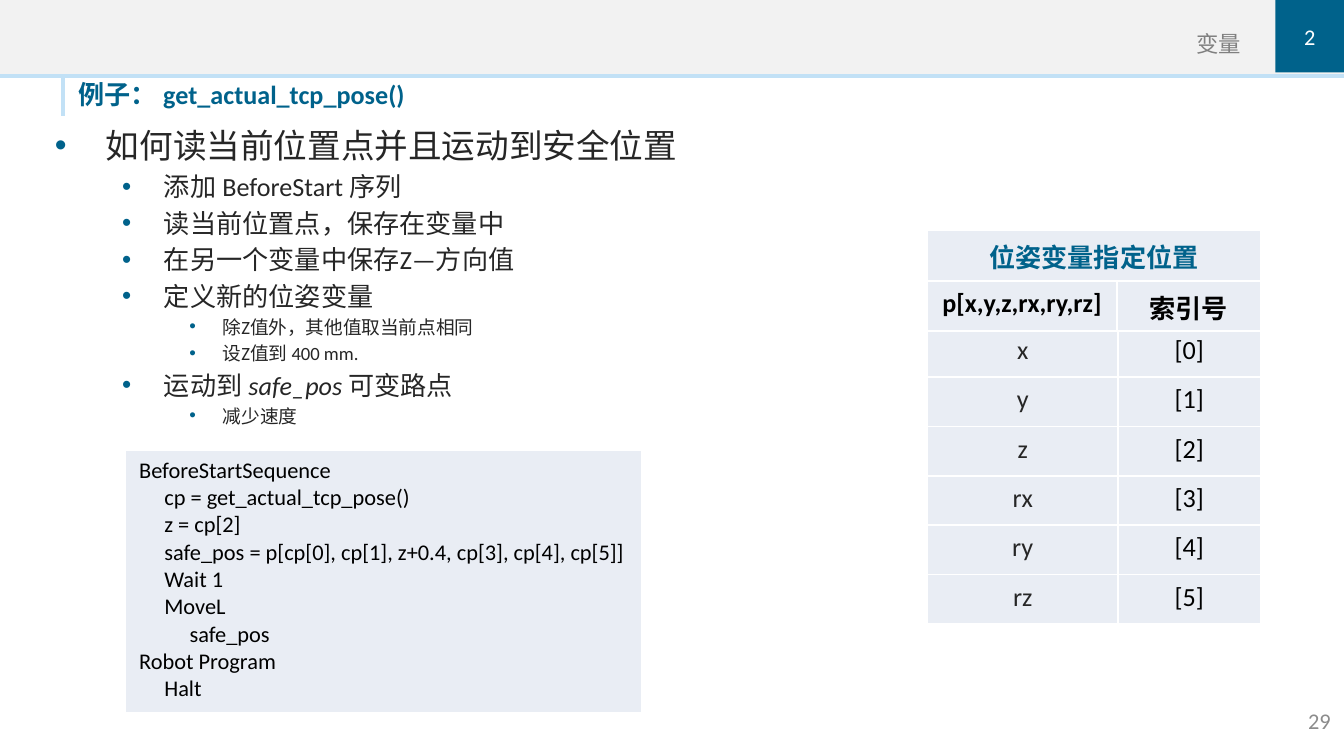
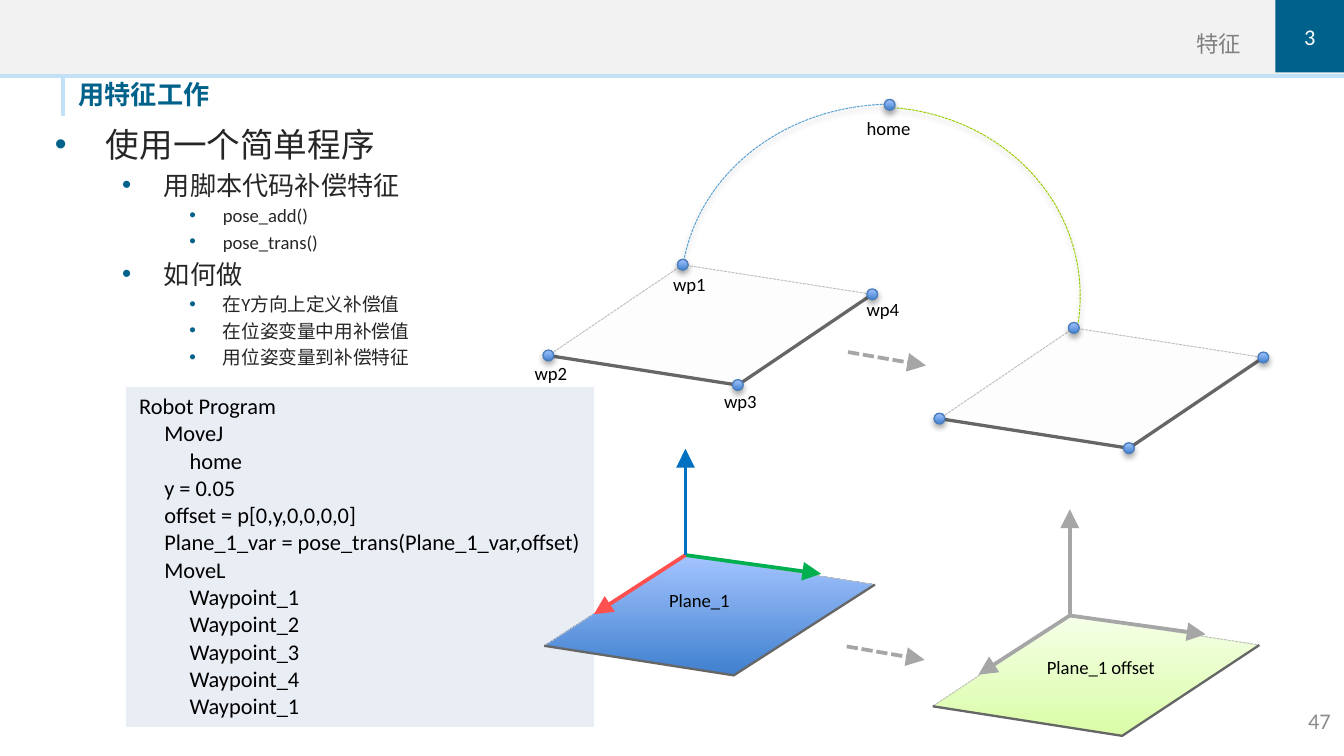
from dataclasses import dataclass
from typing import NamedTuple

from lxml import etree
from pptx import Presentation
from pptx.dml.color import RGBColor
from pptx.enum.dml import MSO_LINE
from pptx.enum.shapes import MSO_CONNECTOR, MSO_SHAPE
from pptx.enum.text import MSO_ANCHOR, PP_ALIGN
from pptx.oxml.ns import qn
from pptx.util import Emu, Inches, Pt

RECT, OVAL, ARC = MSO_SHAPE.RECTANGLE, MSO_SHAPE.OVAL, MSO_SHAPE.ARC
STRAIGHT, DASH = MSO_CONNECTOR.STRAIGHT, MSO_LINE.SQUARE_DOT
LEFT, MID, RIGHT = PP_ALIGN.LEFT, PP_ALIGN.CENTER, PP_ALIGN.RIGHT
TOP, CENTER, BASE = MSO_ANCHOR.TOP, MSO_ANCHOR.MIDDLE, MSO_ANCHOR.BOTTOM

# The slide is a grid of 100 columns and 56.25 rows; all lengths count its cells.
CELL = Inches(0.1)
COLS, ROWS = 100, 56.25

HUES = {
    "sky": "C2E1F6", "band": "F2F2F2", "teal": "00628B", "page": "8C8C8C",
    "head": "808080", "body": "262626", "black": "000000", "white": "FFFFFF",
    "cell": "E9EDF4", "gray": "A6A6A6", "edge": "666666", "rim": "BFBFBF",
    "paper": "FDFDFD", "navy": "4B7EBC", "deep": "3F80CE", "pale": "A4C4FF",
    "lime": "DAFDA7", "mint": "F5FFE7", "arc": "56A0D3", "leaf": "99CC00",
    "green": "00B050", "red": "FF5050", "blue": "0070C0",
}


class Spot(NamedTuple):
    x: float
    y: float

    def move(self, dx: float, dy: float) -> "Spot":
        return Spot(self.x + dx, self.y + dy)


class Area(NamedTuple):
    x: float
    y: float
    w: float
    h: float


@dataclass(frozen=True)
class Style:
    size: int
    hue: str = "black"
    bold: bool = False
    align: PP_ALIGN = LEFT
    font: str = "Calibri"


class Level(NamedTuple):
    size: int
    left: float
    hang: float


class Item(NamedTuple):
    """A bullet; text between bars is italic."""
    level: int
    text: str


class Plane(NamedTuple):
    start: Spot
    fills: tuple
    edge: float
    lean: float

    def nooks(self) -> list:
        """Give the corners, clockwise from the start."""
        side, down = (14.1, 2.2), (-self.lean, 6.75)
        far = self.start.move(*side)
        return [self.start, far, far.move(*down), self.start.move(*down)]


class Bow(NamedTuple):
    area: Area
    turn: float
    ends: tuple
    hue: str
    flip: bool


class Tag(NamedTuple):
    x: float
    y: float
    text: str
    w: float = 6


LEVELS = [Level(18, 3.8, 3.8), Level(14, 8.12, 3.12), Level(10, 12.5, 2.5)]
TITLE = Style(14, "teal", True)
CODE, LABEL = Style(12), Style(10)

READ = [
    Item(0, "如何读当前位置点并且运动到安全位置"),
    Item(1, "添加 BeforeStart 序列"),
    Item(1, "读当前位置点，保存在变量中"),
    Item(1, "在另一个变量中保存Z—方向值"),
    Item(1, "定义新的位姿变量"),
    Item(2, "除Z值外，其他值取当前点相同"),
    Item(2, "设Z值到 400 mm."),
    Item(1, "运动到 |safe_pos |可变路点"),
    Item(2, "减少速度"),
]
WORK = [
    Item(0, "使用一个简单程序"),
    Item(1, "用脚本代码补偿特征"),
    Item(2, "pose_add()"),
    Item(2, "pose_trans()"),
    Item(1, "如何做"),
    Item(2, "在Y方向上定义补偿值"),
    Item(2, "在位姿变量中用补偿值"),
    Item(2, "用位姿变量到补偿特征"),
]
SAFE = """BeforeStartSequence
     cp = get_actual_tcp_pose()
     z = cp[2]
     safe_pos = p[cp[0], cp[1], z+0.4, cp[3], cp[4], cp[5]]
     Wait 1
     MoveL
          safe_pos
Robot Program
     Halt"""
SHIFT = """Robot Program
     MoveJ
          home
     y = 0.05
     offset = p[0,y,0,0,0,0]
     Plane_1_var = pose_trans(Plane_1_var,offset)
     MoveL
          Waypoint_1
          Waypoint_2
          Waypoint_3
          Waypoint_4
          Waypoint_1"""

PLANES = [
    Plane(Spot(51, 41.3), ("deep", "pale"), 1.25, 10.5),
    Plane(Spot(79.6, 45.8), ("lime", "mint"), 1.25, 10.2),
    Plane(Spot(50.8, 19.7), ("paper",), 1.75, 10),
    Plane(Spot(79.9, 24.4), ("paper",), 1.75, 10),
]
AXES = [(10.1, 1.4), (-6.8, 4.4), (0, -7.9)]
BOWS = [
    Bow(Area(52.4, 6, 29.2, 32.8), 279.4, (162, 207.6), "arc", False),
    Bow(Area(50.4, 6.8, 28.8, 31.2), 80.6, (152.8, 207.6), "leaf", True),
]
HOME = Spot(66.2, 7.8)
TAGS = [
    Tag(38.8, 26.4, "wp2"), Tag(49.1, 19.8, "wp1"), Tag(52.9, 28.5, "wp3"),
    Tag(63.5, 21.7, "wp4"), Tag(63.5, 8.2, "home"),
    Tag(48.8, 43.3, "Plane_1", 9.7), Tag(76.9, 48.3, "Plane_1 offset", 13.5),
]


def span(cells: float) -> Emu:
    return Emu(round(cells * CELL))


def spans(values) -> list:
    return [span(v) for v in values]


def tint(hue: str) -> RGBColor:
    return RGBColor.from_string(HUES[hue])


def sub(node, tag: str, **attrs):
    return etree.SubElement(node, qn(tag), attrs)


def paint(shape, hues: tuple) -> None:
    """Fill with no, one or two hues, the first of two at the bottom."""
    fill = shape.fill
    if not hues:
        fill.background()
    elif len(hues) == 1:
        fill.solid()
        fill.fore_color.rgb = tint(hues[0])
    else:
        fill.gradient()
        fill.gradient_angle = 90
        for stop, hue in zip(fill.gradient_stops, hues):
            stop.color.rgb = tint(hue)


def stroke(shape, hue: str, width: float, dash: bool = False) -> None:
    shape.line.color.rgb = tint(hue)
    shape.line.width = Pt(width)
    if dash:
        shape.line.dash_style = DASH


def shade(shape) -> None:
    """Add a soft shadow below."""
    glow = sub(shape._element.spPr.find(qn("a:effectLst")), "a:outerShdw",
               blurRad=str(Pt(3.1)), dist=str(Pt(1.8)), dir="5400000", rotWithShape="0")
    sub(sub(glow, "a:srgbClr", val=HUES["black"]), "a:alpha", val="35000")


def form(slide, kind, area: Area, hues: tuple):
    shape = slide.shapes.add_shape(kind, *spans(area))
    shape.shadow.inherit = False
    paint(shape, hues)
    shape.line.fill.background()
    return shape


def style(frame, look: Style) -> None:
    for para in frame.paragraphs:
        para.alignment = look.align
        for run in para.runs:
            run.font.name, run.font.size = look.font, Pt(look.size)
            run.font.bold = look.bold
            run.font.color.rgb = tint(look.hue)


def write(shape, text: str, look: Style, anchor=TOP, inset=(1, 0.5, 1, 0.5)) -> None:
    frame = shape.text_frame
    frame.word_wrap, frame.vertical_anchor = True, anchor
    (frame.margin_left, frame.margin_top,
     frame.margin_right, frame.margin_bottom) = spans(inset)
    frame.text = text
    style(frame, look)


def note(slide, area: Area, text: str, look: Style, **more) -> None:
    write(slide.shapes.add_textbox(*spans(area)), text, look, **more)


def line(slide, start: Spot, end: Spot, hue: str, width: float = 2,
         dash: bool = False, head: bool = True) -> None:
    link = slide.shapes.add_connector(STRAIGHT, *spans(start + end))
    stroke(link, hue, width, dash)
    if head:
        sub(link.line._get_or_add_ln(), "a:tailEnd", type="triangle", w="lg", len="lg")
    sub(link._element.spPr, "a:effectLst")


def frame(slide, part: str, count: str, title: str, page: str) -> None:
    """Draw the band, badge, title and page number."""
    form(slide, RECT, Area(0, 0, COLS, 5.8), ("sky",))
    form(slide, RECT, Area(0, 0, COLS, 5.5), ("band",))
    line(slide, Spot(4.7, 5.8), Spot(4.7, 8.6), "sky", 2.5, head=False)
    bare = (0, 0, 0, 0)
    note(slide, Area(50, 0, 42.35, 4.25), part, Style(12, "head", align=RIGHT),
         anchor=BASE, inset=bare)
    badge = form(slide, RECT, Area(94.9, 0, 5.1, 5.4), ("teal",))
    write(badge, count, Style(12, "white", align=MID), CENTER, bare)
    note(slide, Area(5.85, 5.85, 44.1, 2.8), title, TITLE, inset=(0, 0, 0, 0.4))
    note(slide, Area(90, 52.1, 10, 3), page, Style(12, "page", align=RIGHT), anchor=CENTER)


def points(slide, top: float, items: list) -> None:
    box = slide.shapes.add_textbox(*spans(Area(3.1, top, 87.1, 24))).text_frame
    box.word_wrap = True
    for i, item in enumerate(items):
        para = box.add_paragraph() if i else box.paragraphs[0]
        rank = LEVELS[item.level]
        para.level = item.level
        props = para._p.get_or_add_pPr()
        props.set("marL", str(span(rank.left)))
        props.set("indent", str(span(-rank.hang)))
        sub(sub(props, "a:buClr"), "a:srgbClr", val=HUES["teal"])
        sub(props, "a:buFont", typeface="Arial")
        sub(props, "a:buChar", char="•")
        para.space_before = Pt(0.2 * rank.size if i else 0)
        for j, part in enumerate(item.text.split("|")):
            run = para.add_run()
            run.text = part
            run.font.italic = j % 2 == 1
    style(box, Style(18, "body"))
    for para in box.paragraphs:
        for run in para.runs:
            run.font.size = Pt(LEVELS[para.level].size)


def table(slide, spot: Spot, wide: list, high: float, texts: list, looks: list):
    """Draw rows of equal height; looks holds one style per column."""
    area = Area(*spot, sum(wide), high * len(texts))
    grid = slide.shapes.add_table(len(texts), len(wide), *spans(area)).table
    grid.first_row = grid.horz_banding = False
    for col, width in zip(grid.columns, wide):
        col.width = span(width)
    for row, words in zip(grid.rows, texts):
        row.height = span(high)
        for cell, text, look in zip(row.cells, words, looks):
            cell.text = text
            style(cell.text_frame, look)
            props = cell._tc.get_or_add_tcPr()
            for side in "LRTB":
                rule = sub(props, "a:ln" + side, w=str(Pt(1)))
                sub(sub(rule, "a:solidFill"), "a:srgbClr", val=HUES["white"])
            paint(cell, ("cell",))
    return grid


def trace(slide, spots: list, close: bool):
    first, *rest = [spans(s) for s in spots]
    pen = slide.shapes.build_freeform(*first, scale=1.0)
    pen.add_line_segments(rest, close=close)
    shape = pen.convert_to_shape()
    shape.shadow.inherit = False
    return shape


def sheet(slide, plane: Plane) -> None:
    spots = plane.nooks()
    face = trace(slide, spots, True)
    paint(face, plane.fills)
    stroke(face, "rim", 0.5, True)
    edge = trace(slide, spots[1:], False)
    paint(edge, ())
    stroke(edge, "edge", plane.edge)


def scene(slide) -> None:
    for plane in PLANES:
        sheet(slide, plane)
    for plane, hues in zip(PLANES, [("green", "red", "blue"), ("gray",) * 3]):
        for axis, hue in zip(AXES, hues):
            line(slide, plane.start, plane.start.move(*axis), hue)
    for start in (Spot(63, 48.1), Spot(63.1, 26.2)):
        line(slide, start, start.move(5.8, 1), "gray", dash=True)
    for bow in BOWS:
        curve = form(slide, ARC, bow.area, ())
        curve.adjustments[0], curve.adjustments[1] = bow.ends
        curve.rotation = bow.turn
        if bow.flip:
            curve._element.spPr.get_or_add_xfrm().set("flipH", "1")
        stroke(curve, bow.hue, 0.5, True)
        shade(curve)
    for spot in [HOME] + PLANES[2].nooks() + PLANES[3].nooks():
        dot = form(slide, OVAL, Area(*spot.move(-0.4, -0.4), 0.8, 0.8), ("deep", "pale"))
        stroke(dot, "navy", 0.75)
        shade(dot)
    for tag in TAGS:
        note(slide, Area(tag.x, tag.y, tag.w, 2.7), tag.text, LABEL)


def main() -> None:
    deck = Presentation()
    deck.slide_width, deck.slide_height = spans((COLS, ROWS))
    blank = deck.slide_layouts[6]

    pose = deck.slides.add_slide(blank)
    frame(pose, "变量", "2", "例子： get_actual_tcp_pose()", "29")
    points(pose, 8.8, READ)
    table(pose, Spot(9.35, 33.5), [38.4], 19.5, [[SAFE]], [CODE])
    rows = [[name, f"[{i}]"] for i, name in enumerate("x y z rx ry rz".split())]
    table(pose, Spot(69, 24.4), [14.2, 10.6], 3.67, rows,
          [Style(14, "body", align=MID), Style(14, align=MID)])
    heads = [["位姿变量指定位置", ""], ["p[x,y,z,rx,ry,rz]", "索引号"]]
    top = table(pose, Spot(69, 17.15), [14.1, 10.7], 3.75, heads,
                [Style(14, bold=True, align=MID)] * 2)
    top.cell(0, 0).merge(top.cell(0, 1))
    style(top.cell(0, 0).text_frame, Style(14, "teal", True, MID, "Courier New"))

    work = deck.slides.add_slide(blank)
    frame(work, "特征", "3", "用特征工作", "47")
    points(work, 8.7, WORK)
    table(work, Spot(9.35, 28.75), [34.9], 25.4, [[SHIFT]], [CODE])
    scene(work)

    deck.save("out.pptx")


if __name__ == "__main__":
    main()
